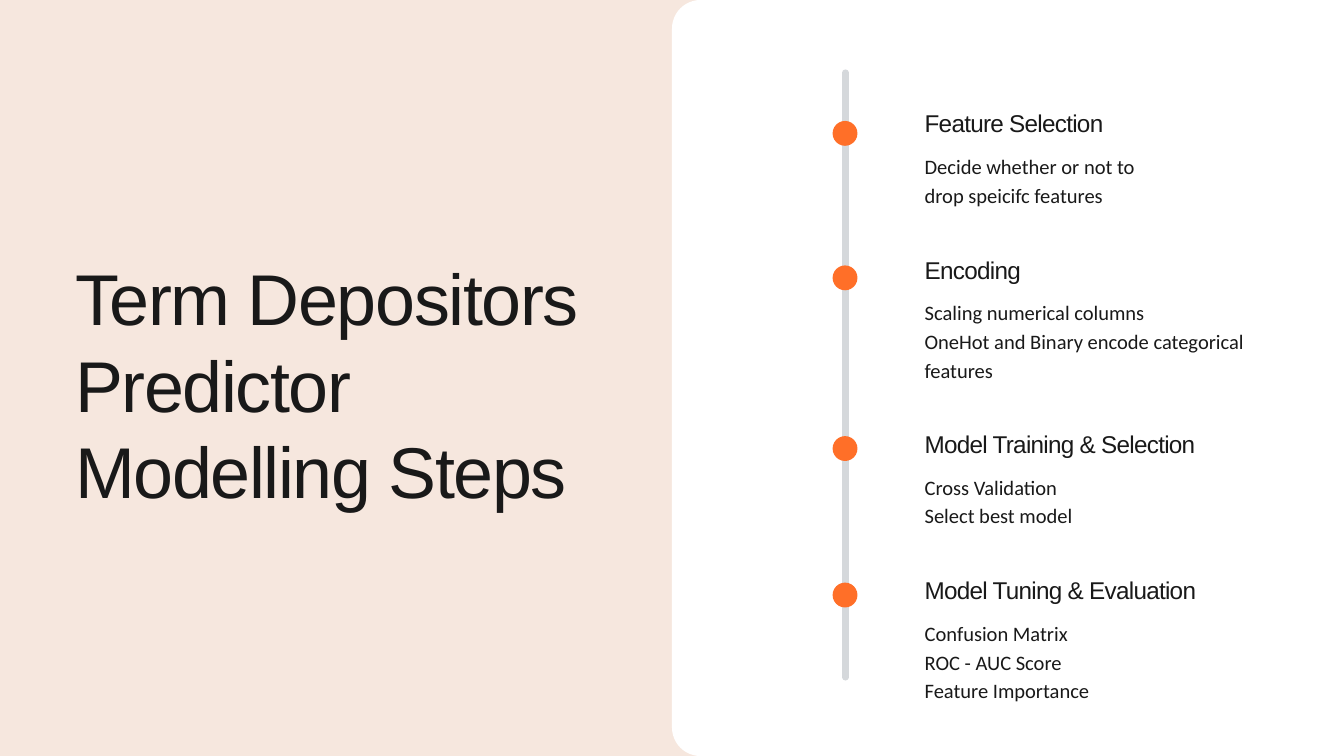
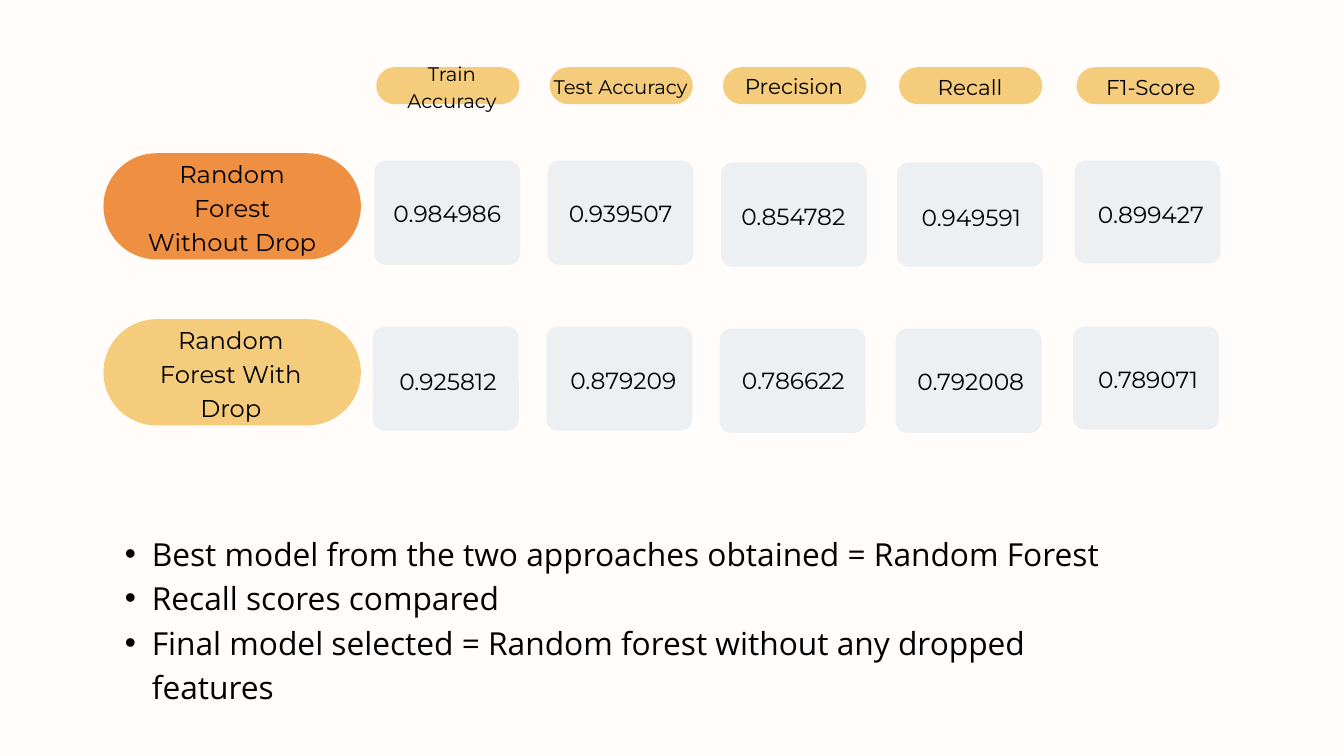
from dataclasses import dataclass
from typing import NamedTuple

from lxml import etree
from pptx import Presentation
from pptx.dml.color import RGBColor
from pptx.enum.shapes import MSO_CONNECTOR, MSO_SHAPE as SHAPE
from pptx.enum.text import MSO_ANCHOR, MSO_AUTO_SIZE, PP_ALIGN
from pptx.oxml.ns import qn
from pptx.util import Inches, Pt

WIDTH, HEIGHT = Inches(20), Inches(11.25)
COL, ROW = WIDTH / 20, HEIGHT / 11.25

PEACH = RGBColor(0xF6, 0xE7, 0xDE)
CREAM = RGBColor(0xFF, 0xFC, 0xFA)
WHITE = RGBColor(0xFF, 0xFF, 0xFF)
INK = RGBColor(0x19, 0x19, 0x19)
BLACK = RGBColor(0x00, 0x00, 0x00)
RAIL = RGBColor(0xD5, 0xD8, 0xDB)
DOT = RGBColor(0xFF, 0x6F, 0x28)
ORANGE = RGBColor(0xEE, 0x8F, 0x42)
YELLOW = RGBColor(0xF5, 0xCC, 0x7C)
CARD = RGBColor(0xED, 0xF0, 0xF2)


class Box(NamedTuple):
    """Place in grid columns and rows."""
    col: float
    row: float
    cols: float
    rows: float

    def emu(self) -> tuple[int, ...]:
        return tuple(round(n * unit) for n, unit in zip(self, (COL, ROW, COL, ROW)))


class Style(NamedTuple):
    font: str
    size: float
    color: RGBColor
    leading: float = 1.4
    tracking: float = 0
    align: PP_ALIGN = PP_ALIGN.LEFT
    bullet: bool = False


TITLE = Style("Arial", 77, INK, 1.2, -0.02)
HEADING = Style("Arial", 26, INK, 1.3, -0.03)
DETAIL = Style("Calibri", 22, INK)
MODEL = Style("Montserrat", 26, BLACK, align=PP_ALIGN.CENTER)
SCORE = MODEL._replace(size=25)
NOTES = Style("Open Sans", 34, BLACK, bullet=True)


@dataclass
class Step:
    heading: str
    details: list[str]
    row: float
    dot_row: float
    cols: float


@dataclass
class Label:
    text: str
    col: float
    row: float


@dataclass
class Metric:
    label: Label
    size: float
    card: Box
    scores: list[Label]


@dataclass
class Model:
    lines: list[str]
    color: RGBColor
    text_col: float
    card_shift: float


STEPS = [
    Step("Feature Selection", ["Decide whether or not to drop speicifc features"],
         1.58, 1.8, 3.73),
    Step("Encoding", ["Scaling numerical columns",
                      "OneHot and Binary encode categorical features"],
         3.76, 3.95, 5.12),
    Step("Model Training & Selection", ["Cross Validation", "Select best model"],
         6.35, 6.49, 4.87),
    Step("Model Tuning & Evaluation",
         ["Confusion Matrix", "ROC - AUC Score", "Feature Importance"],
         8.53, 8.67, 5.12),
]
METRICS = [
    Metric(Label("Train Accuracy", 5.71, 0.86), 21, Box(5.57, 2.39, 2.17, 1.55),
           [Label("0.984986", 5.7, 2.9), Label("0.925812", 5.71, 5.39)]),
    Metric(Label("Test Accuracy", 8.22, 1.06), 21, Box(8.15, 2.39, 2.17, 1.55),
           [Label("0.939507", 8.28, 2.9), Label("0.879209", 8.32, 5.38)]),
    Metric(Label("Precision", 10.8, 1.03), 23, Box(10.73, 2.42, 2.17, 1.55),
           [Label("0.854782", 10.85, 2.94), Label("0.786622", 10.85, 5.38)]),
    Metric(Label("Recall", 13.42, 1.04), 23, Box(13.35, 2.42, 2.17, 1.55),
           [Label("0.949591", 13.5, 2.96), Label("0.792008", 13.49, 5.39)]),
    Metric(Label("F1-Score", 16.11, 1.04), 23, Box(15.99, 2.39, 2.17, 1.53),
           [Label("0.899427", 16.17, 2.91), Label("0.789071", 16.13, 5.37)]),
]
MODELS = [
    Model(["Random", "Forest Without Drop"], ORANGE, 2.16, 0),
    Model(["Random Forest With Drop"], YELLOW, 2.14, -0.02),
]
MODEL_PITCH = 2.47
FINDINGS = [
    "Best model from the two approaches obtained = Random Forest",
    "Recall scores compared",
    "Final model selected = Random forest without any dropped features",
]


def set_all(target, values: dict) -> None:
    for name, value in values.items():
        setattr(target, name, value)


def add_bullet(p) -> None:
    p.level = 1
    pPr = p._p.get_or_add_pPr()
    pPr.set("marL", str(Inches(0.8)))
    pPr.set("indent", str(-Inches(0.4)))
    etree.SubElement(pPr, qn("a:buChar")).set("char", "•")


def write(sp, box: Box, lines: list[str], style: Style) -> None:
    """Place a text holder and fill it, one paragraph a line."""
    set_all(sp, dict(zip(("left", "top", "width", "height"), box.emu())))
    tf = sp.text_frame
    set_all(tf, dict(word_wrap=True, auto_size=MSO_AUTO_SIZE.NONE,
                     vertical_anchor=MSO_ANCHOR.TOP, margin_left=0,
                     margin_top=0, margin_right=0, margin_bottom=0))
    for i, line in enumerate(lines):
        p = tf.add_paragraph() if i else tf.paragraphs[0]
        if style.bullet:
            add_bullet(p)
        set_all(p, dict(alignment=style.align, space_before=Pt(0),
                        line_spacing=Pt(style.size * style.leading)))
        r = p.add_run()
        r.text = line
        set_all(r.font, dict(name=style.font, size=Pt(style.size)))
        r.font.color.rgb = style.color
        if style.tracking:
            r._r.get_or_add_rPr().set("spc", str(round(style.size * style.tracking * 100)))


def add_text(s, box: Box, lines: list[str], style: Style) -> None:
    write(s.shapes.add_textbox(*box.emu()), box, lines, style)


def add_block(s, box: Box, color: RGBColor, corner: float = 0.5,
              kind: SHAPE = SHAPE.ROUNDED_RECTANGLE) -> None:
    """Draw a plain filled shape; corner is its radius over its shorter side."""
    sp = s.shapes.add_shape(kind, *box.emu())
    sp.shadow.inherit = False
    sp.fill.solid()
    sp.fill.fore_color.rgb = color
    sp.line.fill.background()
    if kind == SHAPE.ROUNDED_RECTANGLE:
        sp.adjustments[0] = corner


def add_rail(s, col: float, top: float, bottom: float) -> None:
    x = round(col * COL)
    line = s.shapes.add_connector(MSO_CONNECTOR.STRAIGHT, x, round(top * ROW),
                                  x, round(bottom * ROW))
    line.line.color.rgb = RAIL
    line.line.width = Pt(6.75)
    line.line._get_or_add_ln().set("cap", "rnd")
    etree.SubElement(line._element.spPr, qn("a:effectLst"))


def add_slide(prs, layout: int, background: RGBColor):
    s = prs.slides.add_slide(prs.slide_layouts[layout])
    s.background.fill.solid()
    s.background.fill.fore_color.rgb = background
    return s


def build_steps(prs) -> None:
    s = add_slide(prs, 5, PEACH)
    add_block(s, Box(10, 0, 10.61, 11.25), WHITE, 0.04)
    add_rail(s, 12.58, 1.08, 10.08)
    for step in STEPS:
        add_block(s, Box(12.39, step.dot_row, 0.37, 0.37), DOT, kind=SHAPE.OVAL)
        add_text(s, Box(13.76, step.row, step.cols, 0.45), [step.heading], HEADING)
        add_text(s, Box(13.76, step.row + 0.65, step.cols, 1.25), step.details, DETAIL)
    write(s.shapes.title, Box(1.12, 3.78, 7.92, 6.42),
          ["Term Depositors Predictor Modelling Steps"], TITLE)


def build_scores(prs) -> None:
    s = add_slide(prs, 1, CREAM)
    title = s.shapes.title._element
    title.getparent().remove(title)
    for i, model in enumerate(MODELS):
        down = i * MODEL_PITCH
        add_block(s, Box(1.54, 2.28 + down, 3.83, 1.58), model.color)
        add_text(s, Box(model.text_col, 2.3 + down, 2.59, 1.5), model.lines, MODEL)
        for metric in METRICS:
            card, score = metric.card, metric.scores[i]
            add_block(s, card._replace(col=card.col + model.card_shift,
                                       row=card.row + down), CARD, 0.11)
            add_text(s, Box(score.col, score.row, 1.91, 0.46), [score.text], SCORE)
    for metric in METRICS:
        label = metric.label
        add_block(s, Box(metric.card.col + 0.03, 1, 2.13, 0.55), YELLOW)
        add_text(s, Box(label.col, label.row, 2.03, 0.44), [label.text],
                 MODEL._replace(size=metric.size))
    write(s.placeholders[1], Box(1.46, 7.86, 15.22, 1.96), FINDINGS, NOTES)


def main() -> None:
    prs = Presentation()
    set_all(prs, dict(slide_width=WIDTH, slide_height=HEIGHT))
    build_steps(prs)
    build_scores(prs)
    prs.save("out.pptx")


if __name__ == "__main__":
    main()
